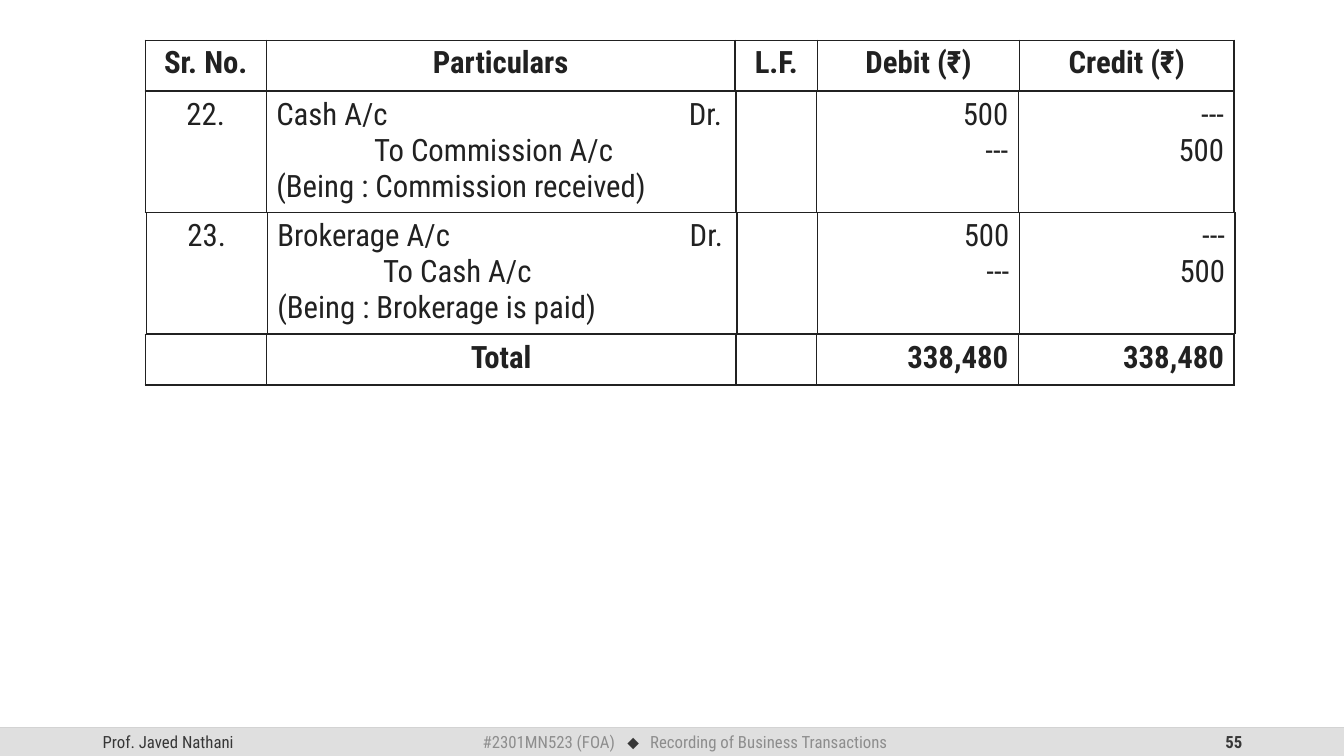
from lxml import etree
from pptx import Presentation
from pptx.dml.color import RGBColor
from pptx.enum.shapes import MSO_CONNECTOR, MSO_SHAPE
from pptx.enum.text import MSO_ANCHOR, PP_ALIGN
from pptx.oxml import parse_xml
from pptx.oxml.ns import nsdecls, qn
from pptx.util import Inches, Pt

LEFT, CENTER, RIGHT = PP_ALIGN.LEFT, PP_ALIGN.CENTER, PP_ALIGN.RIGHT
MIDDLE = MSO_ANCHOR.MIDDLE
RECTANGLE = MSO_SHAPE.RECTANGLE
STRAIGHT = MSO_CONNECTOR.STRAIGHT
COLORS = {"ink": "212121", "footer": "373737", "muted": "8D8D8D",
          "bar": "DFDFDF", "rule": "BFBFBF"}
HEADER_WIDTHS = [1.2, 4.65, 0.82, 2, 2.13]
ENTRY_WIDTHS = [1.2, 4.66, 0.8, 2, 2.14]
ALIGNMENTS = [CENTER, LEFT, LEFT, RIGHT, RIGHT]
DEBIT_MARK_TAB = 4.42
FOOTER_TOP, FOOTER_HEIGHT = 7.22, 0.28


class JournalSlide:
    """Draws the journal tables and footer on one slide in a shared style."""

    def __init__(self, slide):
        self.slide = slide
        self.font = "Roboto Condensed"

    def color(self, name):
        return RGBColor.from_string(COLORS[name])

    def format_font(self, font, color, **values):
        for name, value in {"name": self.font, **values}.items():
            setattr(font, name, value)
        font.color.rgb = self.color(color)

    def rule(self, top, width):
        line = self.slide.shapes.add_connector(
            STRAIGHT, 0, Inches(top), Inches(width), Inches(top))
        line.line.color.rgb = self.color("rule")
        line.line.width = Pt(1)
        color = line.line._ln.find(".//" + qn("a:srgbClr"))
        etree.SubElement(color, qn("a:alpha"), val="70000")
        etree.SubElement(line._element.spPr, qn("a:effectLst"))

    def bar(self, top, width, height):
        shape = self.slide.shapes.add_shape(
            RECTANGLE, 0, Inches(top), Inches(width), Inches(height))
        shape.shadow.inherit = False
        shape.fill.solid()
        shape.fill.fore_color.rgb = self.color("bar")
        shape.line.fill.background()

    def footer_text(self, text, left, width, alignment, color, **values):
        box = self.slide.shapes.add_textbox(
            Inches(left), Inches(FOOTER_TOP), Inches(width), Inches(FOOTER_HEIGHT))
        frame = box.text_frame
        frame.word_wrap = True
        frame.vertical_anchor = MIDDLE
        paragraph = frame.paragraphs[0]
        paragraph.alignment = alignment
        run = paragraph.add_run()
        run.text = text
        self.format_font(run.font, color, size=Pt(12), **values)

    def borders(self, cell):
        properties = cell._tc.get_or_add_tcPr()
        for index, side in enumerate(("lnL", "lnR", "lnT", "lnB")):
            properties.insert(index, parse_xml(
                f'<a:{side} {nsdecls("a")} w="12700"><a:solidFill>'
                f'<a:srgbClr val="{COLORS["ink"]}"/></a:solidFill></a:{side}>'))

    def cell(self, cell, lines, alignment, bold, indent):
        cell.fill.background()
        self.borders(cell)
        cell.text_frame.text = "\n".join(lines)
        for number, paragraph in enumerate(cell.text_frame.paragraphs):
            paragraph.alignment = alignment
            properties = paragraph._p.get_or_add_pPr()
            if indent and number == 1:
                properties.set("marL", str(Inches(indent)))
                properties.set("indent", "0")
            if "\t" in lines[number]:
                tabs = etree.SubElement(properties, qn("a:tabLst"))
                etree.SubElement(tabs, qn("a:tab"), algn="r",
                                 pos=str(Inches(DEBIT_MARK_TAB)))
            self.format_font(paragraph.font, "ink", size=Pt(22), bold=bold)
            for run in paragraph.runs:
                self.format_font(run.font, "ink", size=Pt(22), bold=bold)

    def table(self, left, top, height, widths, cells, alignments,
              bold=False, indent=0):
        table = self.slide.shapes.add_table(
            1, len(widths), Inches(left), Inches(top),
            Inches(sum(widths)), Inches(height)).table
        table.first_row = False
        table.horz_banding = False
        for index, width in enumerate(widths):
            table.columns[index].width = Inches(width)
            self.cell(table.cell(0, index), cells[index], alignments[index],
                      bold, indent if index == 1 else 0)


def main():
    presentation = Presentation()
    presentation.slide_width = Inches(13.33)
    presentation.slide_height = Inches(7.5)
    journal = JournalSlide(
        presentation.slides.add_slide(presentation.slide_layouts[6]))

    journal.rule(FOOTER_TOP, 13.33)
    journal.bar(FOOTER_TOP, 13.33, FOOTER_HEIGHT)
    journal.footer_text("Prof. Javed Nathani", 0.92, 3, LEFT, "footer")
    journal.footer_text("#2301MN523 (FOA)", 4.18, 2.02, RIGHT, "muted")
    journal.footer_text("⬥", 6.08, 0.4, CENTER, "footer", name="Arial")
    journal.footer_text("Recording of Business Transactions", 6.35, 3.07,
                        LEFT, "muted")
    journal.footer_text("55", 9.42, 3, RIGHT, "footer", bold=True)

    headings = ["Sr. No.", "Particulars", "L.F.", "Debit (₹)", "Credit (₹)"]
    journal.table(1.44, 0.4, 0.5, HEADER_WIDTHS, [[text] for text in headings],
                  [CENTER] * 5, bold=True)

    entries = [
        (1.44, 0.91, 0.97, "22.",
         ["Cash A/c\tDr.", "To Commission A/c", "(Being : Commission received)"]),
        (1.45, 2.11, 1.05, "23.",
         ["Brokerage A/c\tDr.", "To Cash A/c", "(Being : Brokerage is paid)"]),
    ]
    for left, top, indent, number, particulars in entries:
        journal.table(left, top, 1.18, ENTRY_WIDTHS,
                      [[number], particulars, [""], ["500", "---"], ["---", "500"]],
                      ALIGNMENTS, indent=indent)

    totals = ["", "Total", "", "338,480", "338,480"]
    journal.table(1.44, 3.32, 0.5, ENTRY_WIDTHS, [[text] for text in totals],
                  [CENTER, CENTER, CENTER, RIGHT, RIGHT], bold=True)
    presentation.save("out.pptx")


if __name__ == "__main__":
    main()
